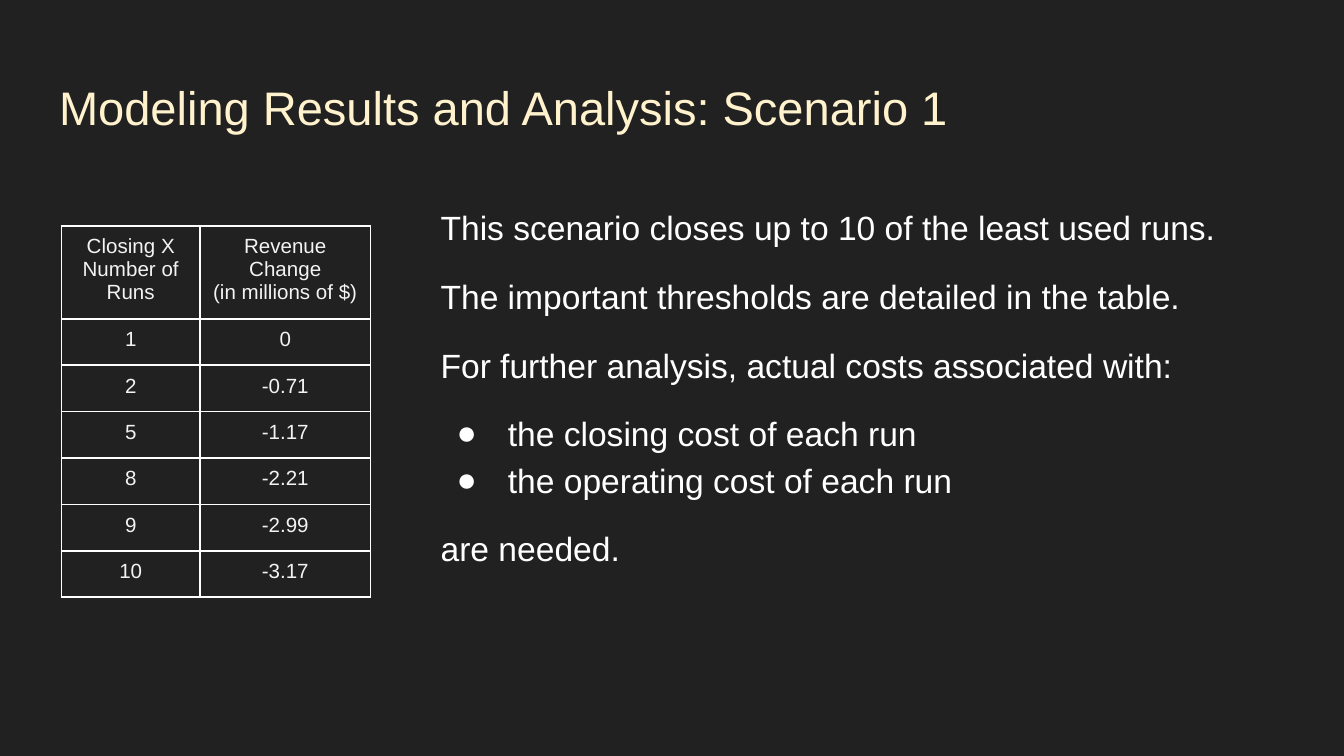
from dataclasses import dataclass

from lxml import etree
from pptx import Presentation, util as u
from pptx.dml.color import RGBColor
from pptx.enum import text as t
from pptx.oxml import ns

WIDE = u.Inches(10)
HIGH = WIDE * 9 // 16


@dataclass(frozen=True)
class Theme:
    font: str = "Arial"
    back: str = "212121"
    title: str = "FFF2CC"
    body: str = "FFFFFF"
    cell: str = "F3F3F3"
    rule: str = "FFFFFF"
    big: float = 25.2
    mid: float = 18
    small: float = 11


THEME = Theme()
TITLE = "Modeling Results and Analysis: Scenario 1"
BODY = [
    ("This scenario closes up to 10 of the least used runs.", False, 0),
    ("The important thresholds are detailed in the table.", False, 12),
    ("For further analysis, actual costs associated with:", False, 12),
    ("the closing cost of each run", True, 12),
    ("the operating cost of each run", True, 0),
    ("are needed.", False, 12),
]
ROWS = [
    ("Closing X Number of Runs", "Revenue Change\n(in millions of $)"),
    ("1", "0"),
    ("2", "-0.71"),
    ("5", "-1.17"),
    ("8", "-2.21"),
    ("9", "-2.99"),
    ("10", "-3.17"),
]


def across(share):
    return round(WIDE * share / 100)


def down(share):
    return round(HIGH * share / 100)


def style(para, size, color):
    para.font.name = THEME.font
    para.font.size = u.Pt(size)
    para.font.color.rgb = RGBColor.from_string(color)


def node(parent, tag, **attrs):
    return etree.SubElement(parent, ns.qn(tag), attrs)


def bullet(para, color):
    props = para._p.get_or_add_pPr()
    props.set("marL", str(u.Inches(0.5)))
    props.set("indent", str(u.Inches(-0.38)))
    mark = node(props, "a:buClr")
    node(mark, "a:srgbClr", val=color)
    node(props, "a:buFont", typeface=THEME.font)
    node(props, "a:buChar", char="●")
    props.append(props.find(ns.qn("a:defRPr")))


def add_box(slide, left, top, width, height):
    box = slide.shapes.add_textbox(across(left), down(top), across(width), down(height))
    frame = box.text_frame
    frame.word_wrap = True
    frame.margin_left = frame.margin_right = u.Inches(0.1)
    frame.margin_top = frame.margin_bottom = u.Inches(0.1)
    return frame


def add_title(slide):
    para = add_box(slide, 3.41, 8.65, 93.2, 11.2).paragraphs[0]
    para.text = TITLE
    style(para, THEME.big, THEME.title)


def add_body(slide):
    frame = add_box(slide, 31.8, 24.8, 65.9, 66.5)
    for i, (words, dot, gap) in enumerate(BODY):
        para = frame.add_paragraph() if i else frame.paragraphs[0]
        para.text = words
        para.line_spacing = 1.15
        para.space_before = u.Pt(gap)
        style(para, THEME.mid, THEME.body)
        if dot:
            bullet(para, THEME.body)
    para.space_after = u.Pt(12)


def set_rules(cell):
    props = cell._tc.get_or_add_tcPr()
    for side in "LRTB":
        line = node(props, f"a:ln{side}", w=str(u.Pt(1)))
        node(node(line, "a:solidFill"), "a:srgbClr", val=THEME.rule)


def fill_cell(cell, words):
    cell.margin_left = cell.margin_right = u.Inches(0.07)
    cell.margin_top = cell.margin_bottom = u.Inches(0.07)
    set_rules(cell)
    cell.fill.background()
    cell.text_frame.text = words
    for para in cell.text_frame.paragraphs:
        para.alignment = t.PP_ALIGN.CENTER
        style(para, THEME.small, THEME.cell)


def add_grid(slide):
    cols = [across(10.3), across(12.7)]
    tall = [down(12.3)] + [down(6.14)] * (len(ROWS) - 1)
    grid = slide.shapes.add_table(
        len(ROWS), len(cols), across(4.58), down(29.88), sum(cols), sum(tall)
    ).table
    grid.first_row = grid.horz_banding = False
    for col, width in zip(grid.columns, cols):
        col.width = width
    for row, height, words in zip(grid.rows, tall, ROWS):
        row.height = height
        for cell, word in zip(row.cells, words):
            fill_cell(cell, word)


def main():
    deck = Presentation()
    deck.slide_width, deck.slide_height = WIDE, HIGH
    slide = deck.slides.add_slide(deck.slide_layouts[6])
    fill = slide.background.fill
    fill.solid()
    fill.fore_color.rgb = RGBColor.from_string(THEME.back)
    add_title(slide)
    add_body(slide)
    add_grid(slide)
    deck.save("out.pptx")


main()
